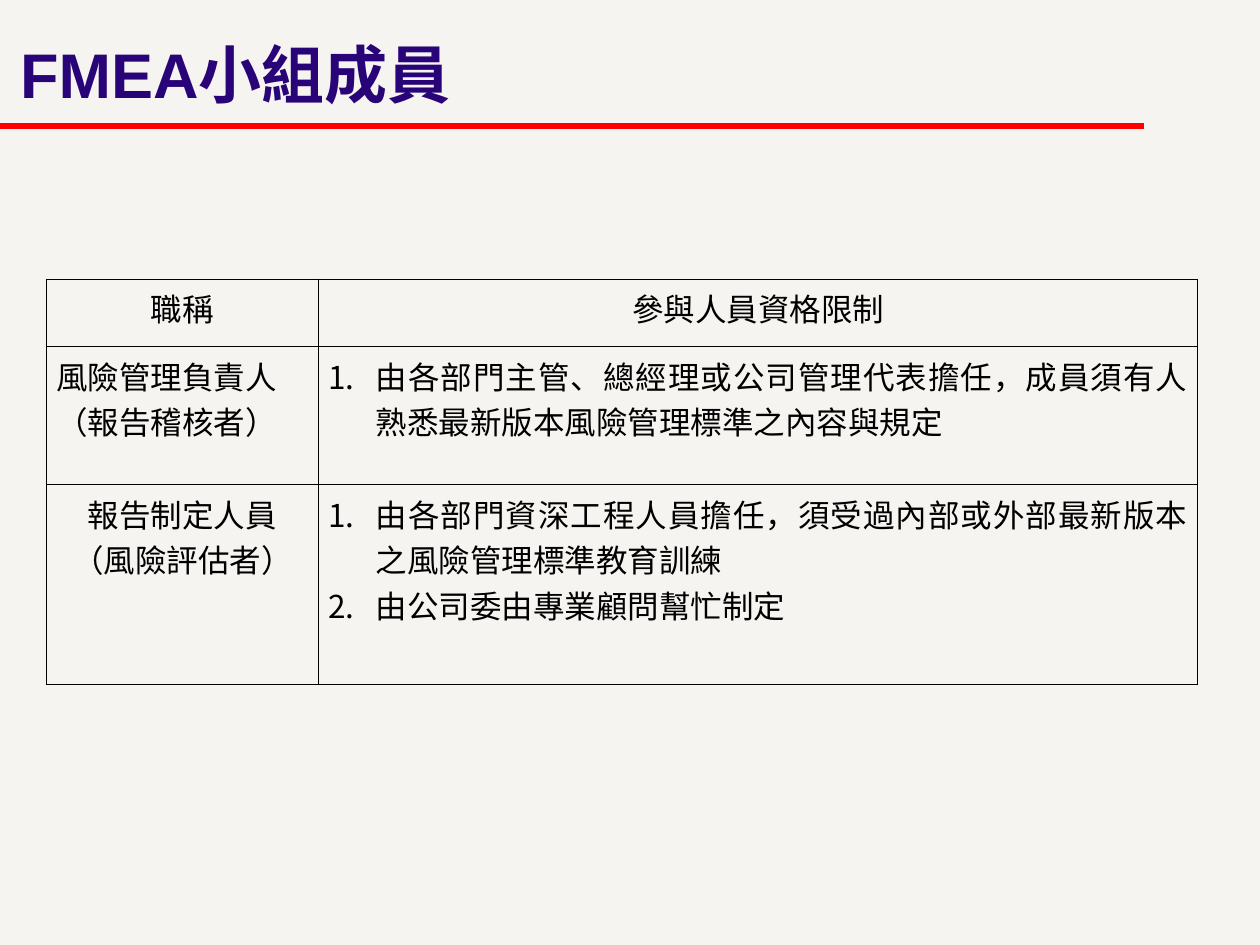
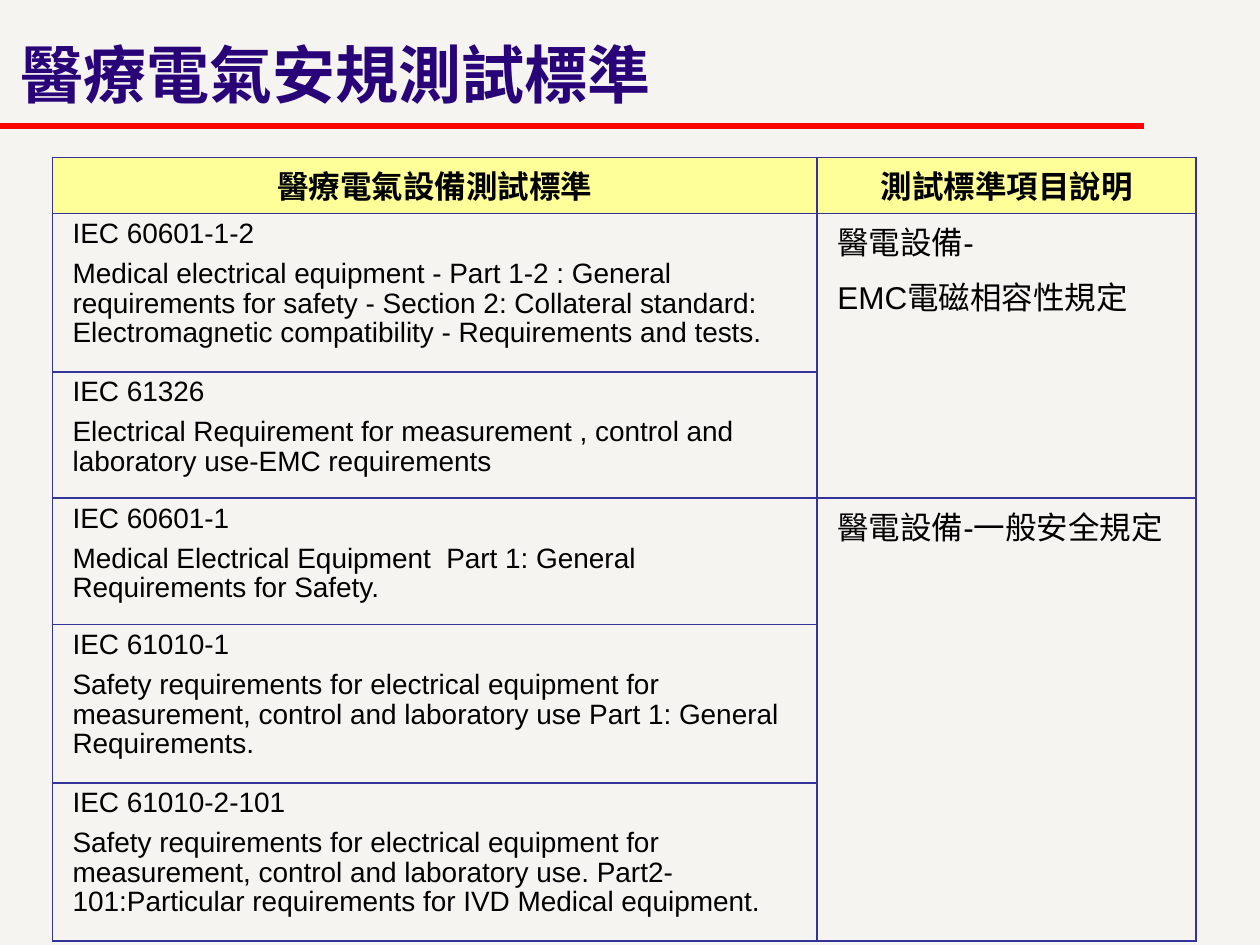
from dataclasses import dataclass

from lxml import etree
from pptx import Presentation
from pptx import util as u
from pptx.dml.color import RGBColor
from pptx.enum import shapes, text
from pptx.oxml.ns import qn

Pt = u.Pt
ALIGN = text.PP_ALIGN


@dataclass(frozen=True)
class Theme:
    back: str = "F6F4F0"
    title: str = "280478"
    rule: str = "FF0000"
    ink: str = "000000"
    grid: str = "333399"
    header: str = "FFFF99"
    sans: str = "Arial"
    serif: str = "Times New Roman"
    title_size: float = 36
    body_size: float = 18
    standard_size: float = 16


T = Theme()


def style_cell(cell, side_margin, border, width, fill=None):
    """Set margins, fill and the four borders of a table cell."""
    cell.margin_left = cell.margin_right = Pt(side_margin)
    cell.margin_top = cell.margin_bottom = Pt(3.6)
    if fill:
        cell.fill.solid()
        cell.fill.fore_color.rgb = RGBColor.from_string(fill)
    else:
        cell.fill.background()
    tcPr = cell._tc.get_or_add_tcPr()
    for i, side in enumerate(("lnL", "lnR", "lnT", "lnB")):
        ln = etree.Element(qn(f"a:{side}"), w=str(Pt(width)))
        solid = etree.SubElement(ln, qn("a:solidFill"))
        etree.SubElement(solid, qn("a:srgbClr"), val=border)
        tcPr.insert(i, ln)


def write_lines(cell, lines, font, size, align, bold=False, numbered=False,
                spacing=None, before=0, after=0):
    tf = cell.text_frame
    for i, line in enumerate(lines):
        p = tf.add_paragraph() if i else tf.paragraphs[0]
        p.alignment = align
        if spacing:
            p.line_spacing = spacing
            p.space_before = Pt(before if i else 0)
            p.space_after = Pt(after)
        if numbered:
            pPr = p._p.get_or_add_pPr()
            pPr.set("marL", str(Pt(27)))
            pPr.set("indent", str(-Pt(27)))
            etree.SubElement(pPr, qn("a:buFont"), typeface=T.sans)
            etree.SubElement(pPr, qn("a:buAutoNum"), type="arabicPeriod")
        r = p.add_run()
        r.text = line
        r.font.name = font
        r.font.size = Pt(size)
        r.font.bold = bold
        r.font.color.rgb = RGBColor.from_string(T.ink)


prs = Presentation()
prs.slide_width, prs.slide_height = Pt(720), Pt(540)
master_fill = prs.slide_master.background.fill
master_fill.solid()
master_fill.fore_color.rgb = RGBColor.from_string(T.back)

# Each slide: title, table left and top, column widths, row heights
layouts = [
    ("FMEA小組成員", 26.5, 159.5, [155.5, 502.5], [38.4, 79, 114.4]),
    ("醫療電氣安規測試標準", 30, 90, [437, 216.5],
     [32, 90.5, 72.2, 72.2, 90.5, 90.5]),
]
tables = []
for title, left, top, widths, heights in layouts:
    s = prs.slides.add_slide(prs.slide_layouts[5])

    rule = s.shapes.add_connector(shapes.MSO_CONNECTOR.STRAIGHT,
                                  Pt(0), Pt(72), Pt(654), Pt(72))
    rule.line.color.rgb = RGBColor.from_string(T.rule)
    rule.line.width = Pt(3)
    etree.SubElement(rule._element.spPr, qn("a:effectLst"))

    sp = s.shapes.title
    sp.left, sp.top, sp.width, sp.height = Pt(0), Pt(0), Pt(641), Pt(90)
    tf = sp.text_frame
    tf.word_wrap = True
    tf.auto_size = text.MSO_AUTO_SIZE.NONE
    tf.vertical_anchor = text.MSO_ANCHOR.MIDDLE
    tf.margin_left = tf.margin_right = Pt(11.5)
    tf.margin_top = tf.margin_bottom = Pt(5.75)
    p = tf.paragraphs[0]
    p.alignment = ALIGN.LEFT
    p.line_spacing = 0.85
    r = p.add_run()
    r.text = title
    r.font.name = T.sans
    r.font.size = Pt(T.title_size)
    r.font.bold = True
    r.font.color.rgb = RGBColor.from_string(T.title)

    table = s.shapes.add_table(len(heights), len(widths), Pt(left), Pt(top),
                               Pt(sum(widths)), Pt(sum(heights))).table
    table.first_row = table.horz_banding = False
    for column, width in zip(table.columns, widths):
        column.width = Pt(width)
    for row, height in zip(table.rows, heights):
        row.height = Pt(height)
    tables.append(table)

members, standards = tables

# Team members: role, alignment of the role, qualifications
roles = [
    (["風險管理負責人", "（報告稽核者）"], ALIGN.JUSTIFY,
     ["由各部門主管、總經理或公司管理代表擔任，成員須有人熟悉最新版本風險管理標準之內容與規定"]),
    (["報告制定人員", "（風險評估者）"], ALIGN.CENTER,
     ["由各部門資深工程人員擔任，須受過內部或外部最新版本之風險管理標準教育訓練",
      "由公司委由專業顧問幫忙制定"]),
]
for cell in members.iter_cells():
    style_cell(cell, 5.75, T.ink, 0.45)
for col, heading in enumerate(["職稱", "參與人員資格限制"]):
    write_lines(members.cell(0, col), [heading], T.serif, T.body_size,
                ALIGN.CENTER)
for row, (role, align, limits) in enumerate(roles, 1):
    write_lines(members.cell(row, 0), role, T.serif, T.body_size, align)
    write_lines(members.cell(row, 1), limits, T.serif, T.body_size,
                ALIGN.JUSTIFY, numbered=True)

# Test standards: each group shares one description
groups = [
    (["醫電設備-", "EMC電磁相容性規定"], [
        ("IEC 60601-1-2",
         "Medical electrical equipment - Part 1-2 : General requirements for "
         "safety - Section 2: Collateral standard: Electromagnetic "
         "compatibility - Requirements and tests."),
        ("IEC 61326",
         "Electrical Requirement for measurement , control and laboratory "
         "use-EMC requirements"),
    ]),
    (["醫電設備-一般安全規定"], [
        ("IEC 60601-1",
         "Medical Electrical Equipment  Part 1: General Requirements for "
         "Safety."),
        ("IEC 61010-1",
         "Safety requirements for electrical equipment for measurement, "
         "control and laboratory use Part 1: General Requirements."),
        ("IEC 61010-2-101",
         "Safety requirements for electrical equipment for measurement, "
         "control and laboratory use. Part2-101:Particular requirements for "
         "IVD Medical equipment."),
    ]),
]
for i, cell in enumerate(standards.iter_cells()):
    style_cell(cell, 11.5, T.grid, 1.08, T.header if i < 2 else None)
body_gaps = dict(spacing=0.95, before=1.1, after=5.6)
for col, heading in enumerate(["醫療電氣設備測試標準", "測試標準項目說明"]):
    write_lines(standards.cell(0, col), [heading], T.sans, T.body_size,
                ALIGN.CENTER, bold=True, **body_gaps)
row = 1
for description, entries in groups:
    first = standards.cell(row, 1)
    first.merge(standards.cell(row + len(entries) - 1, 1))
    write_lines(first, description, T.sans, T.body_size, ALIGN.LEFT,
                **body_gaps)
    for entry in entries:
        write_lines(standards.cell(row, 0), entry, T.sans, T.standard_size,
                    ALIGN.LEFT, spacing=0.95, before=1, after=5)
        row += 1

prs.save("out.pptx")
